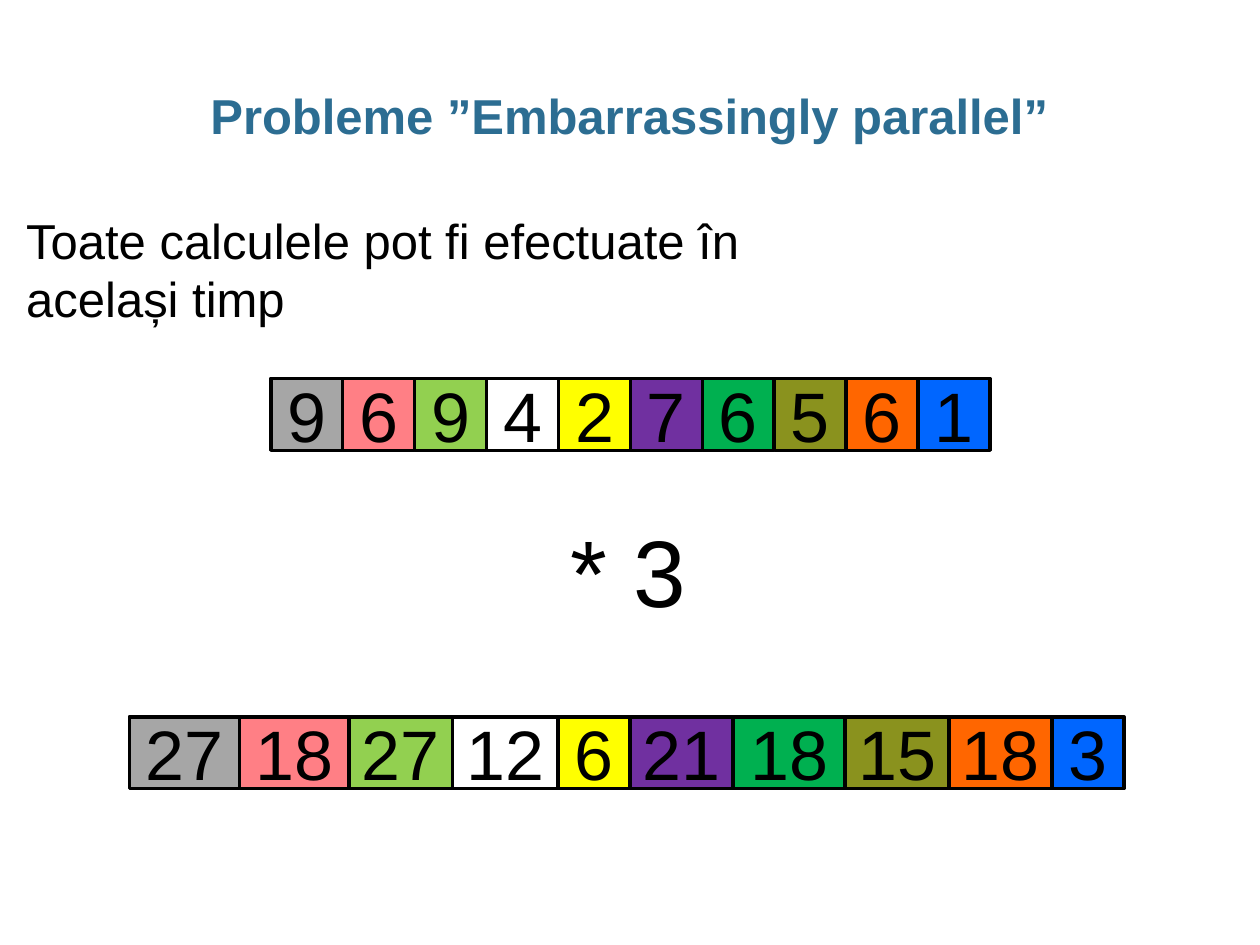
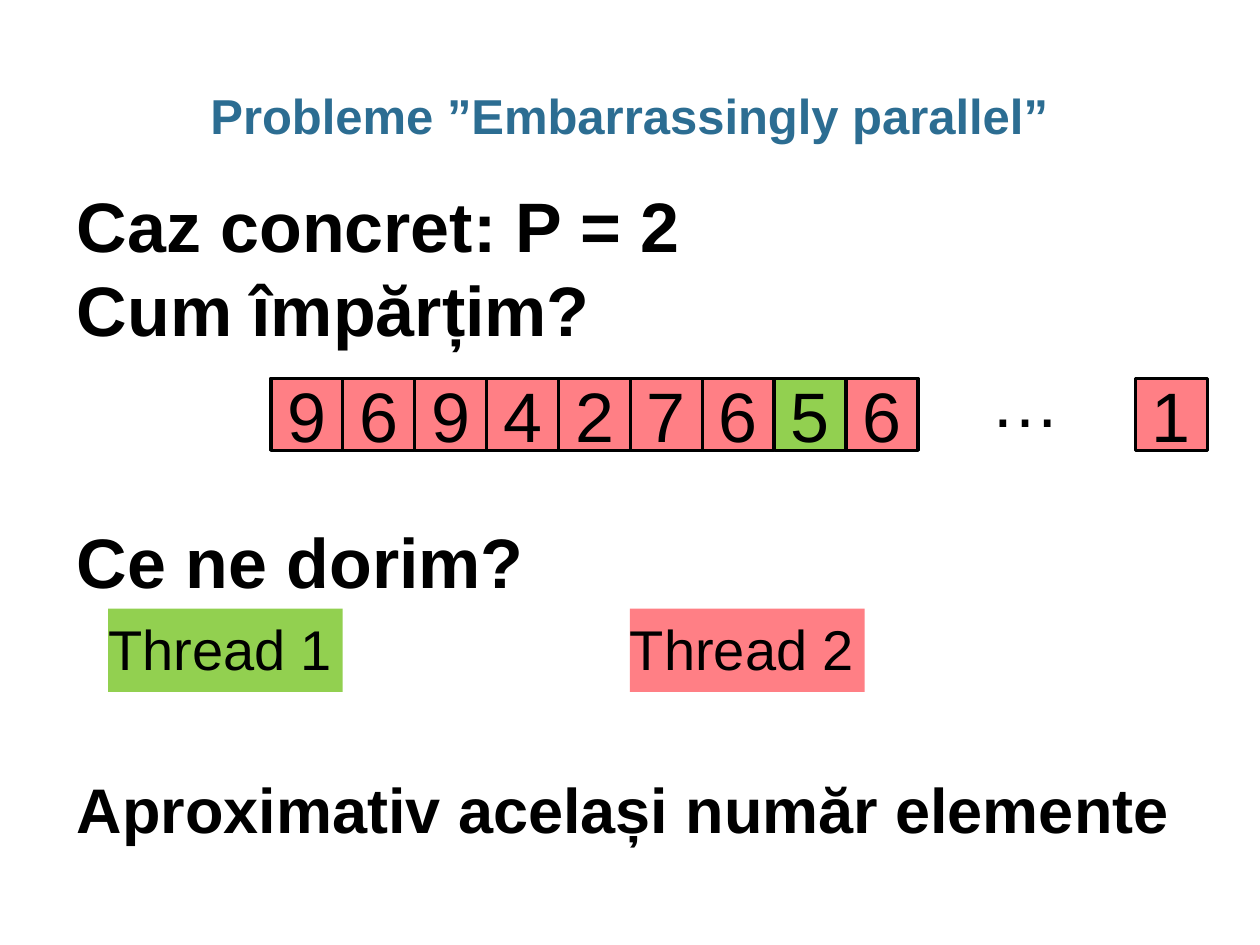
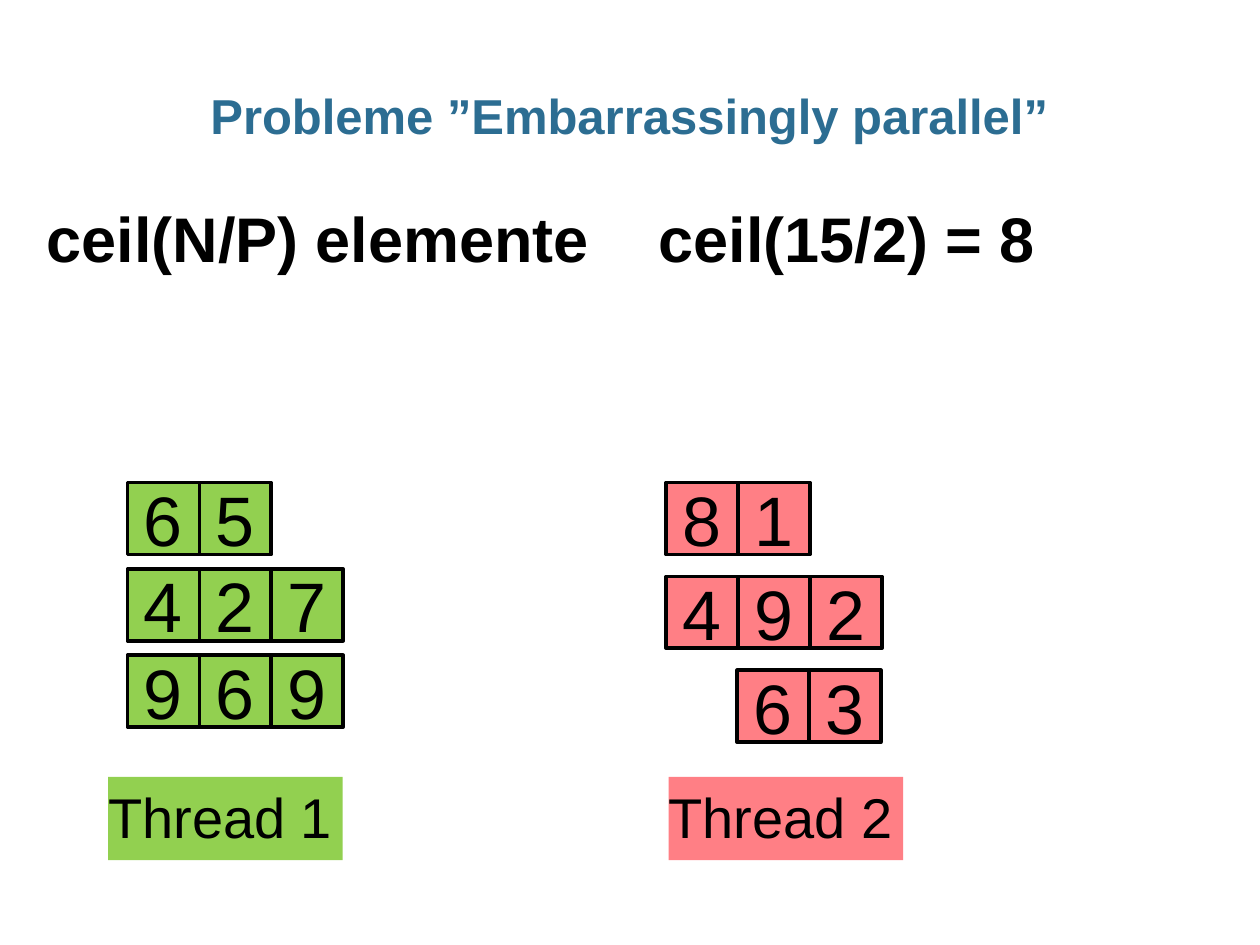
from dataclasses import dataclass
from itertools import accumulate
from typing import Optional, Sequence

from lxml import etree
from pptx import Presentation
from pptx.dml.color import RGBColor
from pptx.enum import shapes, text
from pptx.oxml import ns
from pptx.util import Cm, Pt


@dataclass(frozen=True)
class Theme:
    font: str = "Arial"
    ink: str = "000000"
    title: str = "2C6D92"
    gray: str = "A6A6A6"
    red: str = "FF7F85"
    green: str = "92D050"
    yellow: str = "FFFF00"
    purple: str = "7030A0"
    emerald: str = "00B050"
    olive: str = "8A921E"
    orange: str = "FF6600"
    blue: str = "0066FF"
    title_size: int = 28
    note_size: int = 28
    label_size: int = 32
    formula_size: int = 36
    cell_size: int = 40
    operation_size: int = 54
    border: float = 2
    cell: float = 1.45


THEME = Theme()


@dataclass(frozen=True)
class Box:
    left: float
    top: float
    width: float
    height: float


@dataclass(frozen=True)
class Line:
    words: str
    size: int
    bold: bool = False
    color: str = THEME.ink
    before: float = 0


@dataclass(frozen=True)
class CellRow:
    left: float
    top: float
    values: Sequence[int]
    fills: Sequence[Optional[str]]
    widths: Optional[Sequence[float]] = None


@dataclass(frozen=True)
class ThreadLabel:
    number: int
    left: float
    top: float
    fill: str


def lengths(box: Box) -> tuple:
    return Cm(box.left), Cm(box.top), Cm(box.width), Cm(box.height)


def write(shape, lines: Sequence[Line], align=text.PP_ALIGN.LEFT,
          anchor=text.MSO_ANCHOR.TOP, wrap: bool = True, side: float = 0.25) -> None:
    frame = shape.text_frame
    frame.word_wrap = wrap
    frame.vertical_anchor = anchor
    frame.margin_left = frame.margin_right = Cm(side)
    for index, line in enumerate(lines):
        paragraph = frame.add_paragraph() if index else frame.paragraphs[0]
        paragraph.alignment = align
        if line.before:
            paragraph.space_before = Pt(line.before)
        run = paragraph.add_run()
        run.text = line.words
        run.font.name = THEME.font
        run.font.size = Pt(line.size)
        run.font.bold = line.bold
        run.font.color.rgb = RGBColor.from_string(line.color)


def add_text(slide, box: Box, *lines: Line, wrap: bool = True):
    shape = slide.shapes.add_textbox(*lengths(box))
    write(shape, lines, wrap=wrap)
    return shape


def add_title(slide) -> None:
    shape = slide.shapes.add_textbox(*lengths(Box(0.86, 1.73, 23.65, 1.27)))
    line = Line("Probleme ”Embarrassingly parallel”", THEME.title_size, True, THEME.title)
    write(shape, [line], text.PP_ALIGN.CENTER, text.MSO_ANCHOR.MIDDLE, side=0)
    shape.text_frame.paragraphs[0].line_spacing = 0.95


def add_rectangle(slide, box: Box, fill: Optional[str], border: bool):
    shape = slide.shapes.add_shape(shapes.MSO_SHAPE.RECTANGLE, *lengths(box))
    shape.shadow.inherit = False
    if fill:
        shape.fill.solid()
        shape.fill.fore_color.rgb = RGBColor.from_string(fill)
    else:
        shape.fill.background()
    if border:
        shape.line.color.rgb = RGBColor.from_string(THEME.ink)
        shape.line.width = Pt(THEME.border)
    else:
        shape.line.fill.background()
    return shape


def add_cells(slide, row: CellRow) -> None:
    widths = row.widths or [THEME.cell] * len(row.values)
    lefts = accumulate(widths, initial=row.left)
    for value, fill, left, width in zip(row.values, row.fills, lefts, widths):
        cell = add_rectangle(slide, Box(left, row.top, width, THEME.cell), fill, True)
        write(cell, [Line(str(value), THEME.cell_size)], text.PP_ALIGN.CENTER,
              text.MSO_ANCHOR.MIDDLE, wrap=False)


def add_thread(slide, label: ThreadLabel) -> None:
    shape = add_rectangle(slide, Box(label.left, label.top, 4.73, 1.68), label.fill, False)
    write(shape, [Line(f"Thread {label.number}", THEME.label_size)], side=0)


def set_tab(paragraph, position: float) -> None:
    properties = paragraph._p.get_or_add_pPr()
    tabs = etree.SubElement(properties, ns.qn("a:tabLst"))
    etree.SubElement(tabs, ns.qn("a:tab"), pos=str(Cm(position)), algn="l")


def new_slide(presentation):
    return presentation.slides.add_slide(presentation.slide_layouts[6])


def build_multiplication(presentation) -> None:
    slide = new_slide(presentation)
    add_title(slide)
    numbers = [9, 6, 9, 4, 2, 7, 6, 5, 6, 1]
    factor = 3
    fills = [THEME.gray, THEME.red, THEME.green, None, THEME.yellow, THEME.purple,
             THEME.emerald, THEME.olive, THEME.orange, THEME.blue]
    widths = [2.22, 2.21, 2.08, 2.13, 1.45, 2.08, 2.26, 2.09, 2.08, 1.45]
    add_cells(slide, CellRow(5.46, 7.63, numbers, fills))
    add_cells(slide, CellRow(2.61, 14.45, [n * factor for n in numbers], fills, widths))
    add_text(slide, Box(11.25, 10.21, 2.87, 2.57),
             Line(f"* {factor}", THEME.operation_size), wrap=False)
    add_text(slide, Box(0.28, 4.11, 17.6, 2.64),
             Line("Toate calculele pot fi efectuate în același timp", THEME.note_size))


def build_division(presentation) -> None:
    slide = new_slide(presentation)
    size = THEME.cell_size
    add_text(slide, Box(1.3, 3.56, 23.65, 13.77),
             Line("Caz concret: P = 2", size, True),
             Line("Cum împărțim?", size, True),
             Line("Ce ne dorim?", size, True, before=96),
             Line("Aproximativ același număr elemente", THEME.formula_size, True, before=96))
    add_title(slide)
    fills = [THEME.red] * 7 + [THEME.green, THEME.red]
    add_cells(slide, CellRow(5.46, 7.63, [9, 6, 9, 4, 2, 7, 6, 5, 6], fills))
    add_cells(slide, CellRow(22.89, 7.63, [1], [THEME.red]))
    add_text(slide, Box(19.71, 7.09, 1.93, 1.96), Line("…", size), wrap=False)
    add_thread(slide, ThreadLabel(1, 2.18, 12.27, THEME.green))
    add_thread(slide, ThreadLabel(2, 12.7, 12.27, THEME.red))


def build_distribution(presentation) -> None:
    slide = new_slide(presentation)
    add_title(slide)
    formula = add_text(slide, Box(0.69, 3.89, 23.95, 1.8),
                       Line("ceil(N/P) elemente\tceil(15/2) = 8", THEME.formula_size, True))
    set_tab(formula.text_frame.paragraphs[0], 12.34)
    stacks = [
        (THEME.green, 1.74, [(2.57, [6, 5]), (2.57, [4, 2, 7]), (2.57, [9, 6, 9])]),
        (THEME.red, 1.89, [(13.43, [8, 1]), (13.43, [4, 9, 2]), (14.86, [6, 3])]),
    ]
    for fill, step, rows in stacks:
        for index, (left, values) in enumerate(rows):
            add_cells(slide, CellRow(left, 9.73 + index * step, values, [fill] * len(values)))
    add_thread(slide, ThreadLabel(1, 2.18, 15.66, THEME.green))
    add_thread(slide, ThreadLabel(2, 13.48, 15.66, THEME.red))


def main() -> None:
    presentation = Presentation()
    presentation.slide_width, presentation.slide_height = Cm(25.4), Cm(19.05)
    build_multiplication(presentation)
    build_division(presentation)
    build_distribution(presentation)
    presentation.save("out.pptx")


main()
